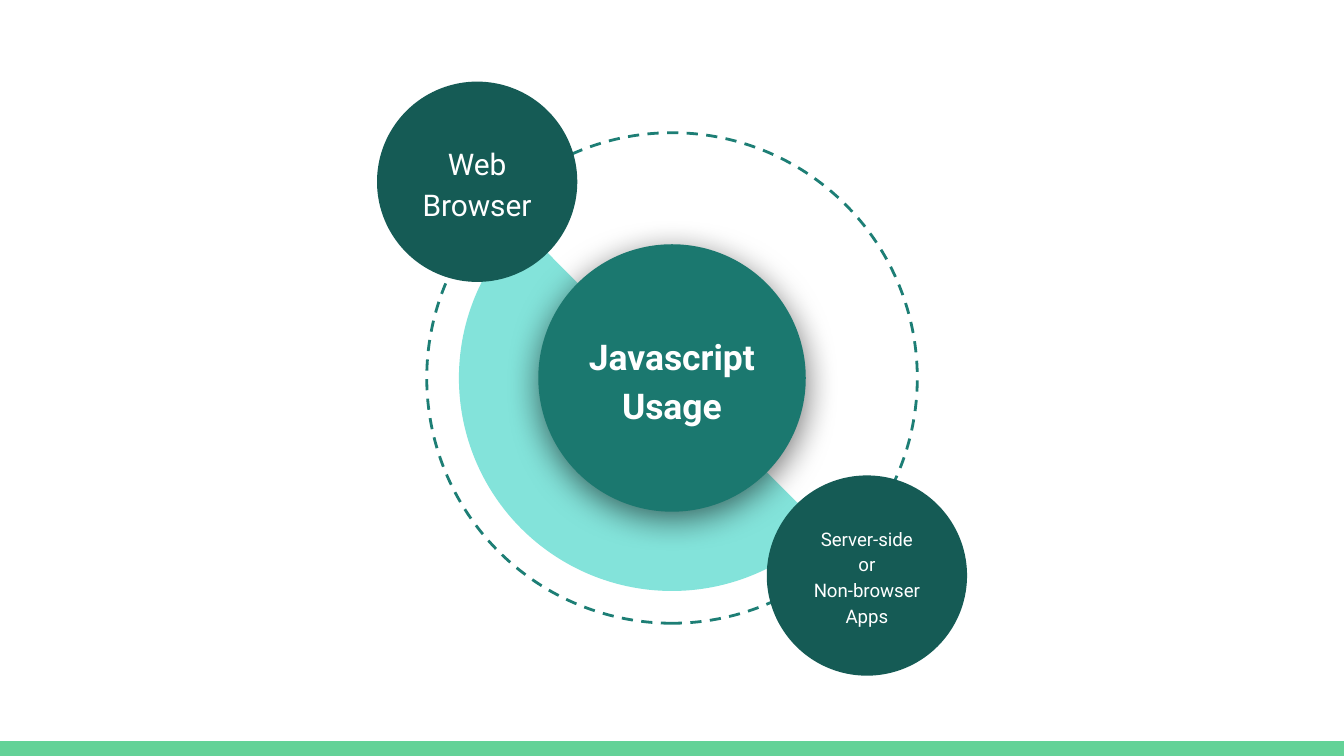
from copy import deepcopy

from lxml import etree
from pptx import Presentation
from pptx.dml.color import RGBColor
from pptx.enum.dml import MSO_LINE
from pptx.enum.shapes import MSO_SHAPE as Shape
from pptx.enum.text import MSO_ANCHOR as Anchor, PP_ALIGN as Align
from pptx.oxml.ns import qn
from pptx.util import Inches, Pt

WIDTH = 10
HEIGHT = WIDTH * 9 / 16
COLORS = {
    "bar": "63D297",
    "orbit": "1D7E75",
    "sector": "83E3DA",
    "hub": "1B786F",
    "satellite": "155B55",
    "text": "FFFFFF",
    "shadow": "000000",
}
FONT = "Roboto"


def color(name):
    return RGBColor.from_string(COLORS[name])


def add_shape(page, kind, left, top, width, height, fill=None):
    shape = page.shapes.add_shape(
        kind, Inches(left), Inches(top), Inches(width), Inches(height))
    shape.shadow.inherit = False
    shape.line.fill.background()
    if fill:
        shape.fill.solid()
        shape.fill.fore_color.rgb = color(fill)
    else:
        shape.fill.background()
    return shape


def add_circle(page, center, diameter, fill=None, kind=Shape.OVAL):
    x, y = center
    return add_shape(page, kind, x - diameter / 2, y - diameter / 2,
                     diameter, diameter, fill)


def add_text(page, text, center, width, height, *, size, bold=False):
    x, y = center
    box = page.shapes.add_textbox(
        Inches(x - width / 2), Inches(y - height / 2),
        Inches(width), Inches(height))
    frame = box.text_frame
    frame.word_wrap = True
    frame.vertical_anchor = Anchor.MIDDLE
    frame.margin_left = frame.margin_right = Inches(0.1)
    frame.margin_top = frame.margin_bottom = Inches(0.1)
    para = frame.paragraphs[0]
    para.text = text
    para.alignment = Align.CENTER
    para.line_spacing = 1.15
    for span in para.runs:
        span.font.name = FONT
        span.font.size = Pt(size)
        span.font.bold = bold
        span.font.color.rgb = color("text")
    # Line breaks take the same format, so that line heights agree
    for line_break in para._p.findall(qn("a:br")):
        line_break.insert(0, deepcopy(para.runs[0]._r.rPr))


def add_shadow(shape, blur, distance, angle, opacity):
    effects = shape._element.spPr.find(qn("a:effectLst"))
    shadow = etree.SubElement(
        effects, qn("a:outerShdw"), blurRad=str(Pt(blur)),
        dist=str(Pt(distance)), dir=str(angle * 60000),
        algn="bl", rotWithShape="0")
    tint = etree.SubElement(shadow, qn("a:srgbClr"), val=COLORS["shadow"])
    etree.SubElement(tint, qn("a:alpha"), val=str(opacity * 1000))


def add_orbit(page, center):
    ring = add_circle(page, center, 3.65)
    ring.rotation = 270
    ring.line.color.rgb = color("orbit")
    ring.line.width = Pt(1.5)
    ring.line.dash_style = MSO_LINE.DASH

    # Half disc between the two satellites; angles in degrees
    sector = add_circle(page, center, 3.17, "sector", Shape.PIE)
    for index, angle in enumerate((44.83, 225.18)):
        sector.adjustments[index] = angle * 0.6


def add_hub(page, center, text):
    disc = add_circle(page, center, 1.99, "hub")
    add_shadow(disc, blur=18, distance=4, angle=90, opacity=55)
    add_text(page, text, center, 1.47, 0.9, size=19, bold=True)


def add_satellite(page, center, text, size):
    add_circle(page, center, 1.49, "satellite")
    add_text(page, text, center, 1.07, 1.02, size=size)


def add_diagram(page, center):
    x, y = center
    add_orbit(page, center)
    add_hub(page, center, "Javascript\nUsage")
    add_satellite(page, (x - 1.45, y - 1.46), "Web Browser", 16)
    add_satellite(page, (x + 1.45, y + 1.47),
                  "Server-side\nor\nNon-browser Apps", 10)


def add_bar(page, height):
    add_shape(page, Shape.RECTANGLE, 0, HEIGHT - height, WIDTH, height, "bar")


def main():
    deck = Presentation()
    deck.slide_width, deck.slide_height = Inches(WIDTH), Inches(HEIGHT)
    page = deck.slides.add_slide(deck.slide_layouts[6])
    add_bar(page, 0.11)
    add_diagram(page, (WIDTH / 2, HEIGHT / 2))
    deck.save("out.pptx")


if __name__ == "__main__":
    main()
